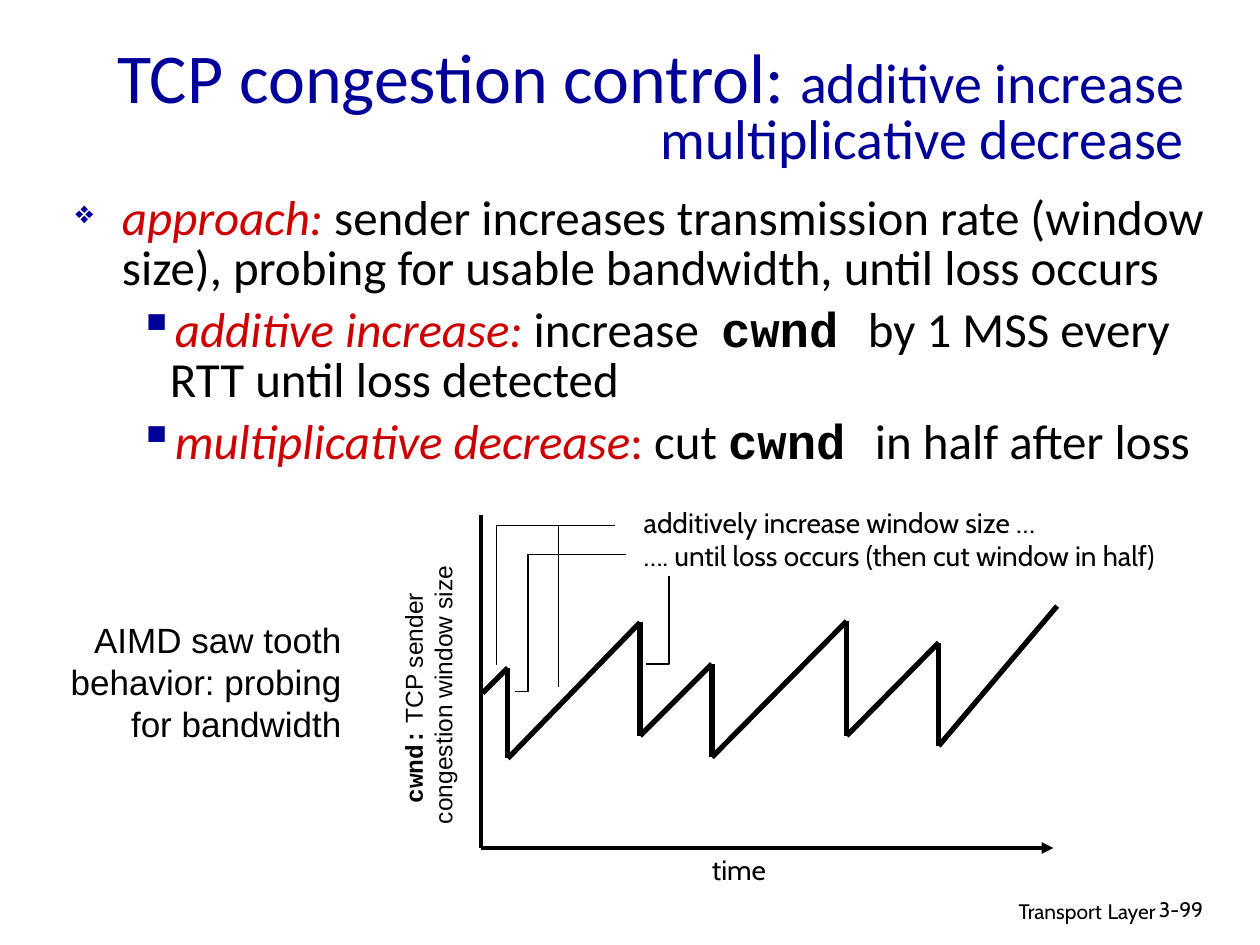
from itertools import pairwise
from lxml.etree import SubElement
from pptx import Presentation
from pptx.dml.color import RGBColor
from pptx.enum.shapes import MSO_CONNECTOR as Line, MSO_SHAPE as Shape
from pptx.enum.text import MSO_ANCHOR as Anchor, PP_ALIGN as Align
from pptx.oxml.ns import qn
from pptx.util import Inches, Pt

WIDE, HIGH = Inches(10), Inches(7.5)
COL, ROW = WIDE / 100, HIGH / 75
BLACK = RGBColor(0, 0, 0)
WHITE = RGBColor(255, 255, 255)
BLUE = RGBColor(0, 0, 0x99)
RED = RGBColor(0xCC, 0, 0)
KEY = {"color": RED, "italic": True}
CODE = {"name": "Courier New", "bold": True}


def spot(x, y):
    return round(x * COL), round(y * ROW)


def inner(box, x, y, w, h):
    return box[0] + x, box[1] + y, w, h


def style(font, color=None, size=None, **rest):
    if color is not None:
        font.color.rgb = color
    if size:
        font.size = Pt(size)
    for key, val in rest.items():
        setattr(font, key, val)


def bullet(para, mark, left, hang, share):
    prop = para._p.get_or_add_pPr()
    prop.set("marL", str(round(left * COL)))
    prop.set("indent", str(round(-hang * COL)))
    tint = SubElement(prop, qn("a:buClr"))
    SubElement(tint, qn("a:srgbClr"), val=str(BLUE))
    SubElement(prop, qn("a:buSzPct"), val=str(share * 1000))
    SubElement(prop, qn("a:buChar"), char=mark)


def write(shape, paras, name, size, color=BLACK, align=Align.LEFT,
          wrap=False, space=None, marks=None):
    frame = shape.text_frame
    frame.word_wrap = wrap
    for i, runs in enumerate(paras):
        para = frame.add_paragraph() if i else frame.paragraphs[0]
        para.alignment = align
        if space:
            para.line_spacing = space
        if marks:
            para.space_before = Pt(7)
            para.level = min(i, 1)
            bullet(para, *marks[para.level])
        style(para.font, color, size, name=name)
        for text, look in runs:
            run = para.add_run()
            run.text = text
            style(run.font, **look)
    return frame


def plain(*lines):
    return [[(line, {})] for line in lines]


def label(slide, box, paras, *args, **opts):
    shape = slide.shapes.add_textbox(*spot(*box[:2]), *spot(*box[2:]))
    return write(shape, paras, *args, **opts)


def stroke(slide, box, start, end, width, arrow=False):
    ends = [spot(box[0] + x, box[1] + y) for x, y in (start, end)]
    line = slide.shapes.add_connector(Line.STRAIGHT, *ends[0], *ends[1])
    line.line.color.rgb = BLACK
    line.line.width = Pt(width)
    if arrow:
        SubElement(line.line._get_or_add_ln(), qn("a:tailEnd"), type="triangle")
    SubElement(line._element.spPr, qn("a:effectLst"))


def leader(slide, box, path):
    first, *rest = [spot(box[0] + x, box[1] + y) for x, y in path]
    form = slide.shapes.build_freeform(*first)
    form.add_line_segments(rest, close=False)
    shape = form.convert_to_shape()
    shape.shadow.inherit = False
    shape.fill.background()
    shape.line.color.rgb = BLACK
    shape.line.width = Pt(0.75)


def title(slide, box):
    runs = [("TCP congestion control: ", {"size": 40}),
            ("additive increase multiplicative decrease", {})]
    frame = label(slide, box, [runs], "Calibri", 32, BLUE, Align.RIGHT,
                  wrap=True, space=0.8)
    frame.vertical_anchor = Anchor.MIDDLE


def points(slide, box):
    paras = [
        [("approach: ", KEY),
         ("sender increases transmission rate (window size), "
          "probing for usable bandwidth, until loss occurs", {})],
        [("additive increase:", KEY), (" increase  ", {}), ("cwnd ", CODE),
         ("by 1 MSS every RTT until loss detected", {})],
        [("multiplicative decrease", KEY), (":", {"color": RED}),
         (" cut ", {}), ("cwnd ", CODE), ("in half after loss", {})],
    ]
    marks = [("❖", 3.7, 3.7, 65), ("▪", 7.5, 2.5, 100)]
    label(slide, box, paras, "Calibri", 28, wrap=True, space=0.85, marks=marks)


def axes(slide, box):
    w, h = box[2:]
    side = inner(box, -15.5, 11.4, 22.5, 5.7)
    tag = slide.shapes.add_shape(Shape.RECTANGLE, *spot(*side[:2]), *spot(*side[2:]))
    tag.shadow.inherit = False
    tag.fill.solid()
    tag.fill.fore_color.rgb = WHITE
    tag.line.fill.background()
    tag.rotation = 270
    paras = [[("cwnd:", CODE), (" TCP sender ", {})],
             *plain("congestion window size")]
    write(tag, paras, "Arial", 14, align=Align.CENTER)
    stroke(slide, box, (0, h), (w - 0.3, h), 2.25, arrow=True)
    stroke(slide, box, (0, 0), (0, h), 2.25)
    label(slide, inner(box, 17.1, h - 0.1, 6.7, 3.7), plain("time"),
          "Cabin", 16, align=Align.CENTER)


def teeth(slide, box):
    path = [(0.1, 14.1), (2.1, 12.1), (2.1, 19.3), (12.6, 8.5), (12.6, 17.5),
            (18.3, 11.8), (18.3, 19.2), (29, 8.4), (29, 17.5), (36.3, 10.1),
            (36.3, 18.3), (45.7, 7.2)]
    for start, end in pairwise(path):
        stroke(slide, box, start, end, 3)


def notes(slide, box):
    label(slide, inner(box, 11.9, -1.3, 47.8, 6.4),
          plain("additively increase window size …",
                "…. until loss occurs (then cut window in half)"), "Cabin", 16)
    paths = [[(10.6, 0.8), (1.2, 0.8), (1.2, 11.9)],
             [(11.5, 3.1), (3.7, 3.1), (3.7, 14), (2.7, 14)],
             [(10.6, 0.8), (6.1, 0.8), (6.1, 13.6)],
             [(14.9, 4.8), (14.9, 11.8), (13.1, 11.8)]]
    for path in paths:
        leader(slide, box, path)


def graph(slide, box):
    axes(slide, box)
    teeth(slide, box)
    notes(slide, box)


def aside(slide, box):
    label(slide, box, plain("AIMD saw tooth", "behavior: probing", "for bandwidth"),
          "Arial", 20, align=Align.RIGHT)


def footer(slide, box):
    runs = [("Transport", {}), (" ", {"size": 14}), ("Layer", {})]
    label(slide, inner(box, 0, 0, 31.7, 3.1), [runs], "Cabin", 12,
          align=Align.RIGHT, wrap=True)
    label(slide, inner(box, 30, 0.2, 7.4, 3), plain("3-99"), "Cabin", 12, wrap=True)


def main():
    deck = Presentation()
    deck.slide_width, deck.slide_height = WIDE, HIGH
    slide = deck.slides.add_slide(deck.slide_layouts[6])
    footer(slide, (61, 70.5, 37.4, 3.2))
    title(slide, (2.5, 2.5, 92.5, 12.5))
    points(slide, (5, 15, 91.6, 15.8))
    graph(slide, (38.2, 40.9, 45.7, 26.4))
    aside(slide, (4.6, 48.6, 23.5, 11))
    deck.save("out.pptx")


if __name__ == "__main__":
    main()
